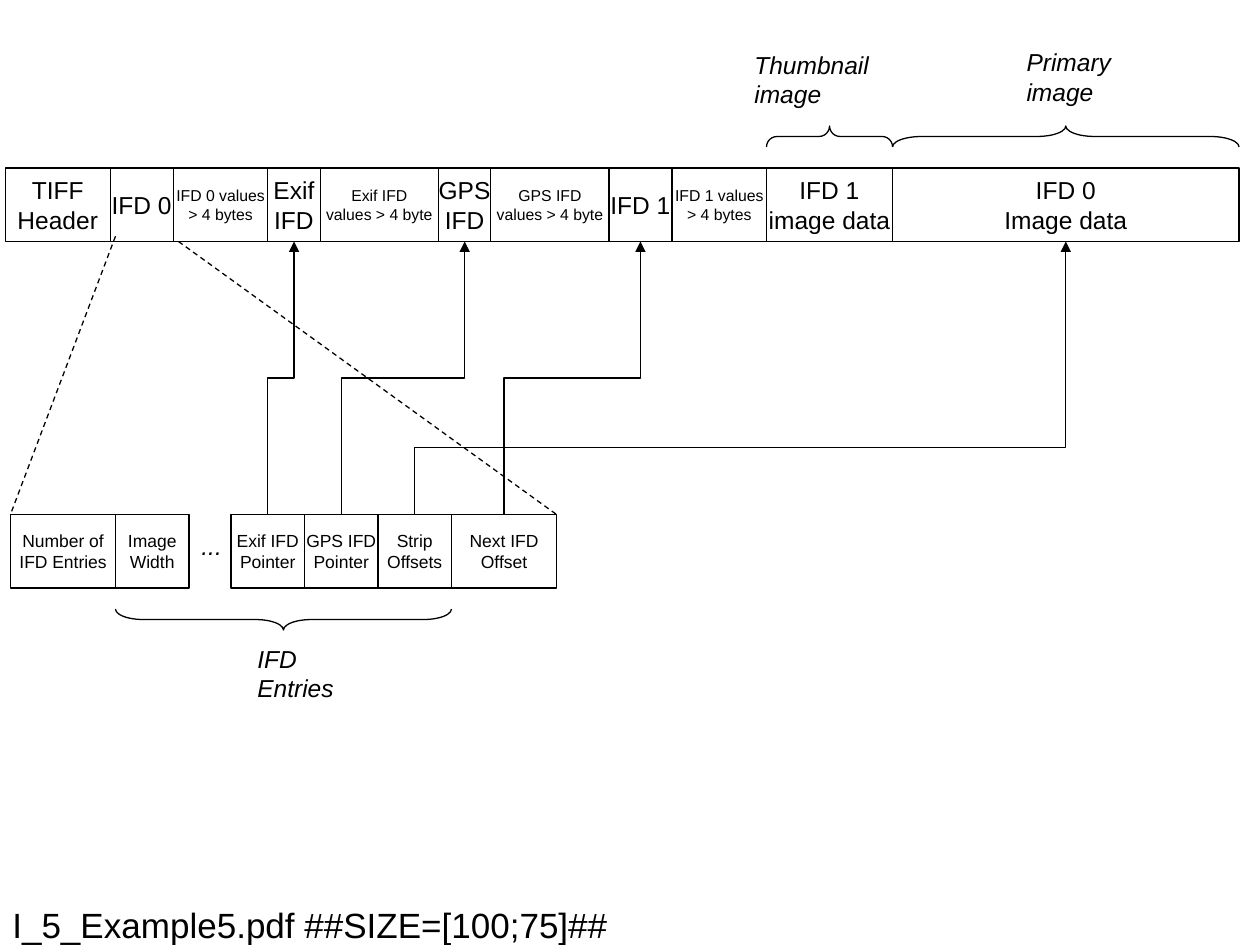
from lxml.etree import SubElement
from pptx import Presentation
from pptx.dml.color import RGBColor
from pptx.enum.dml import MSO_LINE
from pptx.enum.shapes import MSO_CONNECTOR, MSO_SHAPE
from pptx.enum.text import MSO_ANCHOR, MSO_AUTO_SIZE, PP_ALIGN
from pptx.oxml.ns import qn
from pptx.util import Pt

BLACK = RGBColor(0, 0, 0)
LINE_WIDTH = Pt(0.75)
CELL_HEIGHT = 42
FILE_TOP = 96
ENTRY_TOP = 294
BRACE_DEPTH = 12

prs = Presentation()
prs.slide_width, prs.slide_height = Pt(720), Pt(540)
slide = prs.slides.add_slide(prs.slide_layouts[6])
shapes = slide.shapes


def write(frame, text, size, align=PP_ALIGN.LEFT, italic=False):
    frame.text = text
    frame.word_wrap = False
    for paragraph in frame.paragraphs:
        paragraph.alignment = align
        for run in paragraph.runs:
            run.font.name = "Arial"
            run.font.size = Pt(size)
            run.font.italic = italic
            run.font.color.rgb = BLACK


def connect(kind, x1, y1, x2, y2):
    connector = shapes.add_connector(kind, Pt(x1), Pt(y1), Pt(x2), Pt(y2))
    connector.line.color.rgb = BLACK
    connector.line.width = LINE_WIDTH
    SubElement(connector._element.spPr, qn("a:effectLst"))
    return connector


title = shapes.add_textbox(Pt(0), Pt(516), Pt(612), Pt(24)).text_frame
write(title, "I_5_Example5.pdf ##SIZE=[100;75]##", 20)
title.vertical_anchor = MSO_ANCHOR.MIDDLE

file_parts = [
    ("TIFF\nHeader", 60, 14),
    ("IFD 0", 36, 14),
    ("IFD 0 values\n> 4 bytes", 54, 9),
    ("Exif\nIFD", 30, 14),
    ("Exif IFD\nvalues > 4 byte", 67.5, 9),
    ("GPS\nIFD", 30, 14),
    ("GPS IFD\nvalues > 4 byte", 67.5, 9),
    ("IFD 1", 36, 14),
    ("IFD 1 values\n> 4 bytes", 54, 9),
    ("IFD 1\nimage data", 72, 14),
    ("IFD 0\nImage data", 198, 14),
]
first_entries = [("Number of\vIFD Entries", 60, 10), ("Image\vWidth", 42, 10)]
last_entries = [
    ("Exif IFD\vPointer", 42, 10),
    ("GPS IFD\vPointer", 42, 10),
    ("Strip\vOffsets", 42, 10),
    ("Next IFD\vOffset", 60, 10),
]

cells = {}
for left, top, row in [
    (3, FILE_TOP, file_parts),
    (6, ENTRY_TOP, first_entries),
    (132, ENTRY_TOP, last_entries),
]:
    for text, width, size in row:
        cell = shapes.add_shape(
            MSO_SHAPE.RECTANGLE, Pt(left), Pt(top), Pt(width), Pt(CELL_HEIGHT)
        )
        cell.shadow.inherit = False
        cell.fill.background()
        cell.line.color.rgb = BLACK
        cell.line.width = LINE_WIDTH
        cell.text_frame.vertical_anchor = MSO_ANCHOR.MIDDLE
        write(cell.text_frame, text, size, PP_ALIGN.CENTER)
        cells[text] = cell
        left += width

for left, top, length, rotation in [
    (438, 72, 72, 90),
    (510, 72, 198, 90),
    (66, 348, 192, 270),
]:
    brace = shapes.add_shape(
        MSO_SHAPE.LEFT_BRACE,
        Pt(left + (length - BRACE_DEPTH) / 2),
        Pt(top + (BRACE_DEPTH - length) / 2),
        Pt(BRACE_DEPTH),
        Pt(length),
    )
    brace.rotation = rotation
    brace.adjustments[0] = length / BRACE_DEPTH / 12
    brace.shadow.inherit = False
    brace.fill.background()
    brace.line.color.rgb = BLACK
    brace.line.width = LINE_WIDTH

for text, left, top, width, height in [
    ("Thumbnail\vimage", 424, 25, 80, 41),
    ("Primary\vimage", 579.5, 23.5, 63, 41),
    ("...", 108, 300, 26, 24.5),
    ("IFD\vEntries", 140, 364.5, 58, 41),
]:
    label = shapes.add_textbox(Pt(left), Pt(top), Pt(width), Pt(height)).text_frame
    write(label, text, 14, italic=True)
    label.auto_size = MSO_AUTO_SIZE.SHAPE_TO_FIT_TEXT

for x1, y1, x2 in [(66, 135, 6), (102, 138, 318)]:
    zoom_edge = connect(MSO_CONNECTOR.STRAIGHT, x1, y1, x2, ENTRY_TOP)
    zoom_edge.line.dash_style = MSO_LINE.DASH

for entry, target, bend in [
    ("Exif IFD\vPointer", "Exif\nIFD", 50000),
    ("GPS IFD\vPointer", "GPS\nIFD", 50000),
    ("Next IFD\vOffset", "IFD 1", 50000),
    ("Strip\vOffsets", "IFD 0\nImage data", 24500),
]:
    pointer = connect(MSO_CONNECTOR.ELBOW, 0, 0, 0, 0)
    pointer.begin_connect(cells[entry], 0)
    pointer.end_connect(cells[target], 2)
    across, rise = pointer.width, pointer.height
    pointer.left += (across - rise) // 2
    pointer.top += (rise - across) // 2
    pointer.width, pointer.height = rise, across
    properties = pointer._element.spPr
    frame = properties.get_or_add_xfrm()
    frame.rot, frame.flipH, frame.flipV = 90, True, True
    guides = properties.find(qn("a:prstGeom")).get_or_add_avLst()
    SubElement(guides, qn("a:gd"), name="adj1", fmla=f"val {bend}")
    SubElement(pointer.line._get_or_add_ln(), qn("a:tailEnd"), type="triangle")

prs.save("out.pptx")
